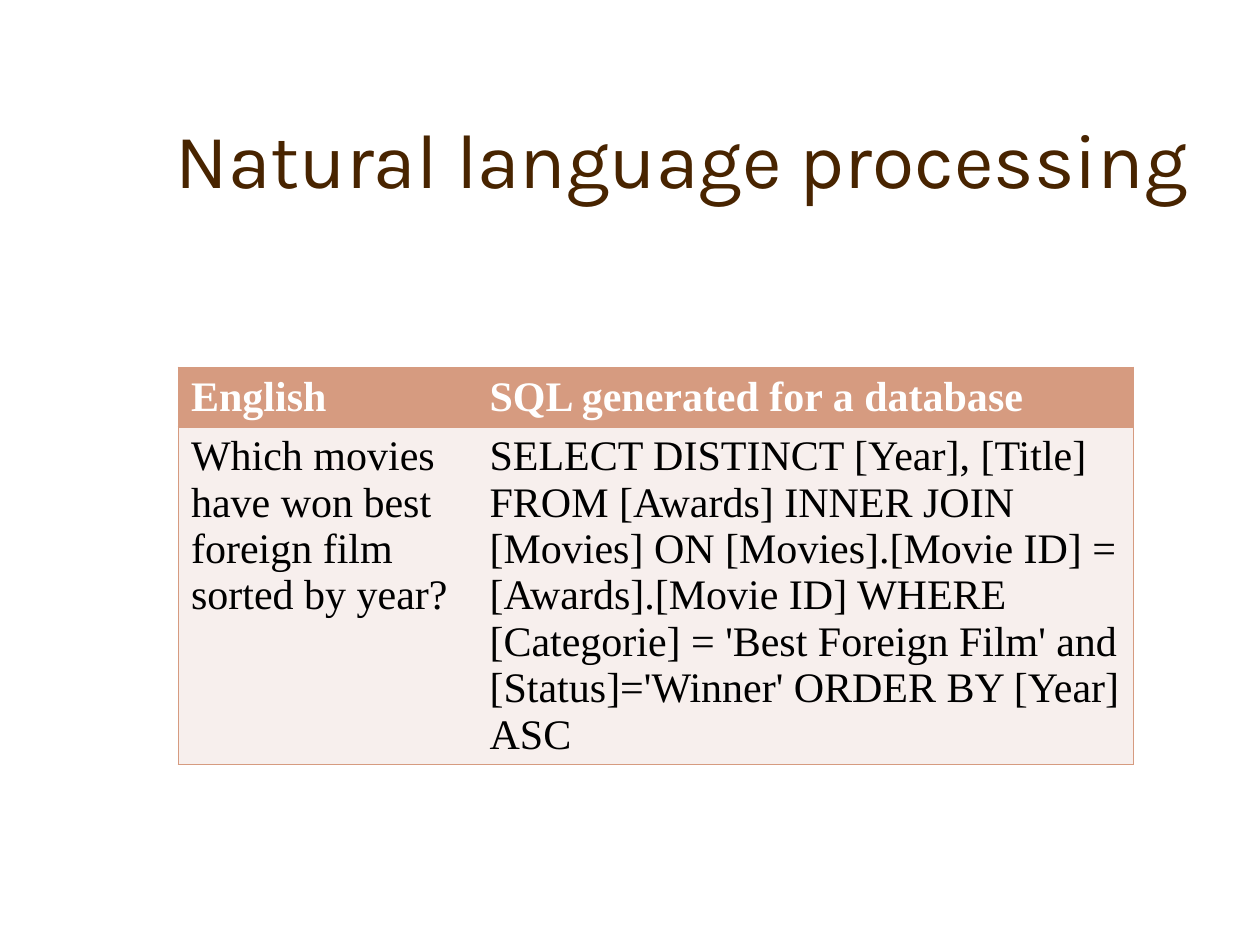
"""Build the slide on natural language processing."""
from dataclasses import dataclass

from lxml import etree
from pptx import Presentation
from pptx.dml.color import RGBColor
from pptx.enum import text
from pptx.oxml import ns
from pptx.table import _Cell
from pptx.util import Pt

BROWN = RGBColor(0x48, 0x24, 0x00)
CLAY = RGBColor(0xD6, 0x9B, 0x80)
BLUSH = RGBColor(0xF7, 0xEF, 0xED)
WHITE = RGBColor(0xFF, 0xFF, 0xFF)
BLACK = RGBColor(0x00, 0x00, 0x00)
NO_STYLE = "{2D5ABB26-0587-4C30-8999-92F81FD0307C}"


@dataclass(frozen=True)
class QueryRow:
    """A table row: its texts, look, height in points and ruled sides."""
    texts: tuple[str, str]
    fill: RGBColor
    ink: RGBColor
    bold: bool
    height: float
    sides: str


COLUMN_WIDTHS = (170.6, 375.1)
QUERY_ROWS = (
    QueryRow(("English", "SQL generated for a database"),
             CLAY, WHITE, True, 34, "TB"),
    QueryRow(("Which movies have won best foreign film sorted by year?",
              "SELECT DISTINCT [Year], [Title] FROM [Awards] INNER JOIN "
              "[Movies] ON [Movies].[Movie ID] = [Awards].[Movie ID] WHERE "
              "[Categorie] = 'Best Foreign Film' and [Status]='Winner' "
              "ORDER BY [Year] ASC"),
             BLUSH, BLACK, False, 193, "TB"),
)


def rule_sides(cell: _Cell, sides: str) -> None:
    """Draw a thin clay border on the given sides, in L, R, T, B order."""
    properties = cell._tc.get_or_add_tcPr()
    for position, side in enumerate(sides):
        line = etree.Element(ns.qn(f"a:ln{side}"), w=str(Pt(1)))
        fill = etree.SubElement(line, ns.qn("a:solidFill"))
        etree.SubElement(fill, ns.qn("a:srgbClr"), val=str(CLAY))
        properties.insert(position, line)


def fill_cell(cell: _Cell, wording: str, row: QueryRow, edge: str) -> None:
    """Write and format one cell, with its outer edge ruled."""
    cell.text = wording
    cell.fill.solid()
    cell.fill.fore_color.rgb = row.fill
    font = cell.text_frame.paragraphs[0].font
    font.name, font.size, font.bold = "Times New Roman", Pt(24), row.bold
    font.color.rgb = row.ink
    rule_sides(cell, edge + row.sides)


def add_heading(slide) -> None:
    """Place the title in its placeholder."""
    heading = slide.shapes.title
    heading.left, heading.top = Pt(84), Pt(30)
    heading.width, heading.height = Pt(612), Pt(90)
    frame = heading.text_frame
    frame.text = "Natural language processing"
    frame.vertical_anchor = text.MSO_ANCHOR.BOTTOM
    frame.auto_size = text.MSO_AUTO_SIZE.NONE
    paragraph = frame.paragraphs[0]
    paragraph.alignment = text.PP_ALIGN.CENTER
    paragraph.font.name, paragraph.font.size = "Karla", Pt(44)
    paragraph.font.color.rgb = BROWN


def add_queries(slide) -> None:
    """Add the table that sets a question beside its query."""
    queries = slide.shapes.add_table(
        len(QUERY_ROWS), len(COLUMN_WIDTHS), Pt(102), Pt(210),
        Pt(sum(COLUMN_WIDTHS)), Pt(sum(row.height for row in QUERY_ROWS))).table
    queries._tbl.tblPr.find(ns.qn("a:tableStyleId")).text = NO_STYLE
    queries.horz_banding = False
    for column, width in zip(queries.columns, COLUMN_WIDTHS):
        column.width = Pt(width)
    for table_row, row in zip(queries.rows, QUERY_ROWS):
        table_row.height = Pt(row.height)
        for cell, wording, edge in zip(table_row.cells, row.texts, "LR"):
            fill_cell(cell, wording, row, edge)


def main() -> None:
    """Build and save the slide."""
    deck = Presentation()
    deck.slide_width, deck.slide_height = Pt(720), Pt(540)
    slide = deck.slides.add_slide(deck.slide_layouts[5])
    slide.background.fill.solid()
    slide.background.fill.fore_color.rgb = WHITE
    add_heading(slide)
    add_queries(slide)
    deck.save("out.pptx")


main()
